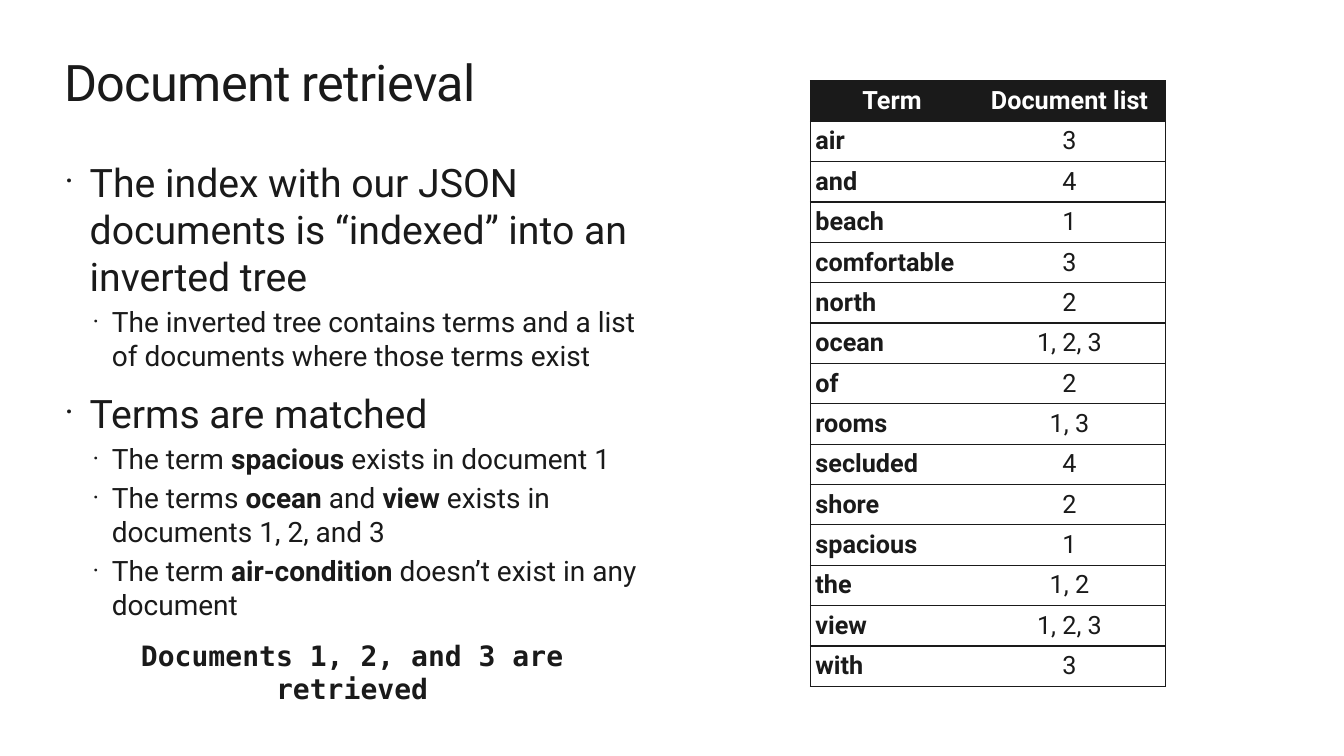
from lxml.etree import SubElement
from pptx import Presentation
from pptx.dml.color import RGBColor
from pptx.enum.text import MSO_ANCHOR, PP_ALIGN
from pptx.oxml.ns import qn
from pptx.util import Emu, Inches, Pt

INK, WHITE = "1A1A1A", "FFFFFF"
SANS, MONO = "Roboto", "DejaVu Sans Mono"
WIDE, HIGH = Inches(13.33), Inches(7.5)
LEFT = 0.048  # left margin as a share of the slide's width

# Each point: level, then runs; every second run is bold.
POINTS = [
    (0, ["The index with our JSON documents is “indexed” into an inverted tree"]),
    (1, ["The inverted tree contains terms and a list of documents "
         "where those terms exist"]),
    (0, ["Terms are matched"]),
    (1, ["The term ", "spacious", " exists in document 1"]),
    (1, ["The terms ", "ocean ", "and ", "view", " exists in documents 1, 2, and 3"]),
    (1, ["The term ", "air-condition ", "doesn’t exist in any document"]),
]
# Each level: text size, space before, left indent, hanging indent.
LEVELS = [(28, 12.2, 0.25, 0.25), (20, 4, 0.47, 0.19)]

HEADS = ("Term", "Document list")
INDEX = [
    ("air", "3"), ("and", "4"), ("beach", "1"), ("comfortable", "3"),
    ("north", "2"), ("ocean", "1, 2, 3"), ("of", "2"), ("rooms", "1, 3"),
    ("secluded", "4"), ("shore", "2"), ("spacious", "1"), ("the", "1, 2"),
    ("view", "1, 2, 3"), ("with", "3"),
]
COLS = (1.62, 1.9)
ROW = 0.394


def paint(hue):
    """Turn a hex string into a colour."""
    return RGBColor.from_string(hue)


def share(x, y):
    """Turn shares of the slide into a pair of lengths."""
    return Emu(round(WIDE * x)), Emu(round(HIGH * y))


def add_run(para, text, size, bold=False, hue=INK, font=SANS):
    """Add one styled run to a paragraph."""
    run = para.add_run()
    run.text = text
    face = run.font
    face.size, face.bold, face.name = Pt(size), bold, font
    face.color.rgb = paint(hue)
    return run


def add_box(slide, x, y, w, h):
    """Add a wrapping text frame without margins."""
    frame = slide.shapes.add_textbox(*share(x, y), *share(w, h)).text_frame
    frame.word_wrap = True
    frame.margin_left = frame.margin_right = 0
    frame.margin_top = frame.margin_bottom = 0
    return frame


def add_dot(para, left, hang):
    """Give a paragraph a hanging dot."""
    prop = para._p.get_or_add_pPr()
    prop.set("marL", str(Inches(left)))
    prop.set("indent", str(-Inches(hang)))
    tint = SubElement(prop, qn("a:buClr"))
    SubElement(tint, qn("a:srgbClr"), val=INK)
    SubElement(prop, qn("a:buSzPct"), val="90000")
    SubElement(prop, qn("a:buFont"), typeface=SANS)
    SubElement(prop, qn("a:buChar"), char="·")


def add_title(slide, text):
    """Add the slide's title."""
    para = add_box(slide, LEFT, 0.067, 0.904, 0.081).paragraphs[0]
    run = add_run(para, text, 36)
    run.font._element.set("spc", "-50")


def add_points(slide, points, close):
    """Add the dotted points and the centred closing line."""
    frame = add_box(slide, LEFT, 0.209, 0.428, 0.691)
    para = frame.paragraphs[0]
    for level, runs in points:
        size, gap, left, hang = LEVELS[level]
        para.level = level
        para.space_before = Pt(gap)
        add_dot(para, left, hang)
        for i, text in enumerate(runs):
            add_run(para, text, size, bold=i % 2 == 1)
        para = frame.add_paragraph()
    para.alignment = PP_ALIGN.CENTER
    para.space_before = Pt(12.2)
    add_run(para, close, 20, True, font=MONO)


def add_edges(cell, sides):
    """Draw the named sides of a cell and clear the others."""
    prop = cell._tc.get_or_add_tcPr()
    for side in "LRTB":
        line = SubElement(prop, qn("a:ln" + side), w=str(Pt(1)))
        if side in sides:
            fill = SubElement(line, qn("a:solidFill"))
            SubElement(fill, qn("a:srgbClr"), val=INK)
        else:
            SubElement(line, qn("a:noFill"))


def fill_cell(cell, text, head, first):
    """Style one cell by its row and column."""
    cell.margin_left = cell.margin_right = Inches(0.05)
    cell.margin_top = cell.margin_bottom = Inches(0.05)
    cell.vertical_anchor = MSO_ANCHOR.MIDDLE
    add_edges(cell, "LTB" if first else "RTB")
    cell.fill.solid()
    cell.fill.fore_color.rgb = paint(INK if head else WHITE)
    para = cell.text_frame.paragraphs[0]
    para.alignment = PP_ALIGN.CENTER if head or not first else PP_ALIGN.LEFT
    add_run(para, text, 18, head or first, WHITE if head else INK)


def add_index(slide, rows):
    """Add the table of terms and their documents."""
    table = slide.shapes.add_table(
        len(rows), len(COLS), *share(0.603, 0.107),
        Inches(sum(COLS)), Inches(ROW * len(rows))).table
    table.horz_banding = False
    for col, width in zip(table.columns, COLS):
        col.width = Inches(width)
    for r, texts in enumerate(rows):
        table.rows[r].height = Inches(ROW)
        for c, text in enumerate(texts):
            fill_cell(table.cell(r, c), text, r == 0, c == 0)


def main():
    """Build the slide and save it."""
    deck = Presentation()
    deck.slide_width, deck.slide_height = WIDE, HIGH
    slide = deck.slides.add_slide(deck.slide_layouts[6])
    add_title(slide, "Document retrieval")
    add_points(slide, POINTS, "Documents 1, 2, and 3 are retrieved")
    add_index(slide, [HEADS] + INDEX)
    deck.save("out.pptx")


main()
